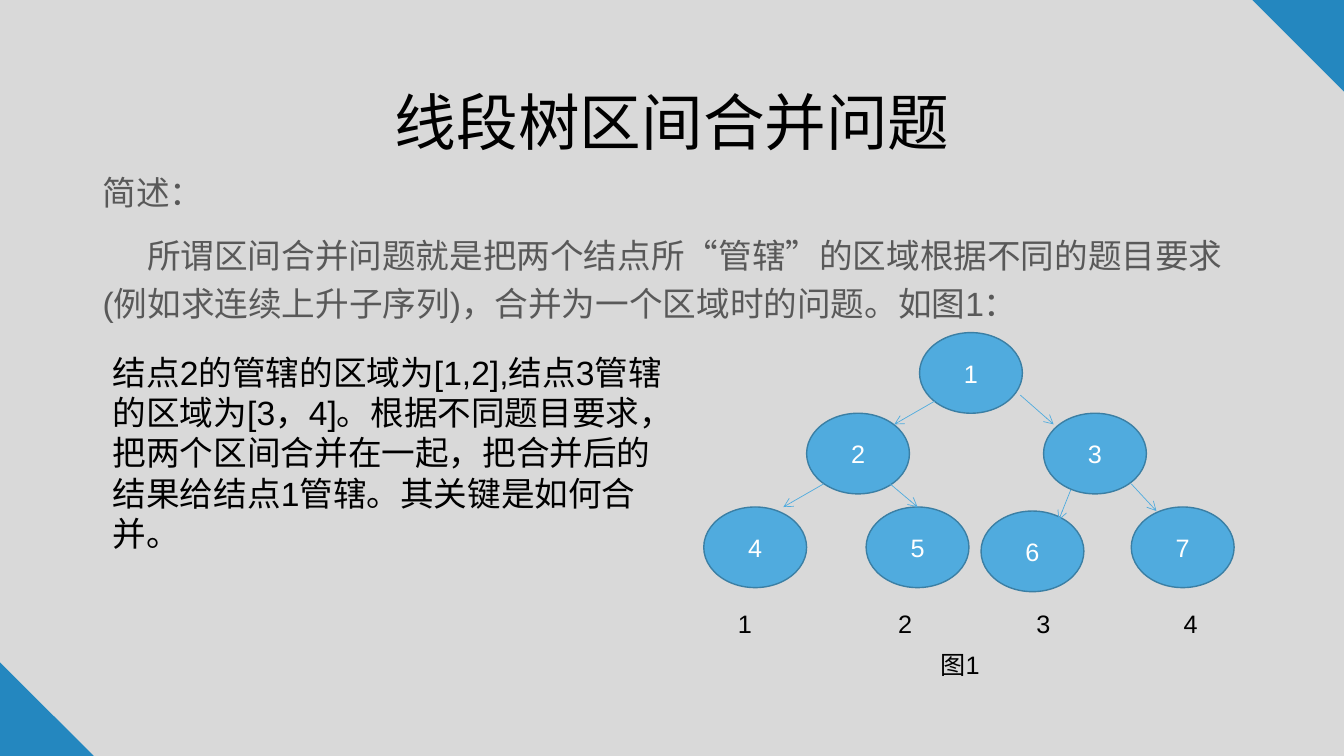
import dataclasses

import pptx
import pptx.dml.color
import pptx.enum.shapes
import pptx.enum.text
import pptx.oxml.ns
import pptx.util
from lxml import etree

Inches = pptx.util.Inches
Pt = pptx.util.Pt
RGB = pptx.dml.color.RGBColor.from_string
qn = pptx.oxml.ns.qn
SHAPES = pptx.enum.shapes.MSO_SHAPE
ALIGN = pptx.enum.text.PP_ALIGN
ANCHOR = pptx.enum.text.MSO_ANCHOR


@dataclasses.dataclass(frozen=True)
class Theme:
    background: str = "D9D9D9"
    corner: str = "2487BF"
    node: str = "50ABDE"
    node_edge: str = "3B7FA4"
    ink: str = "000000"
    muted: str = "595959"
    white: str = "FFFFFF"
    latin: str = "Arial"
    chinese: str = "Noto Sans CJK SC"
    title_size: int = 44
    text_size: int = 24
    label_size: int = 18


theme = Theme()


def write(paragraph, text, *, size, color=theme.ink, font=theme.latin,
          align=ALIGN.LEFT, spacing=1.0, before=0, indent=0):
    paragraph.alignment = align
    paragraph.line_spacing = spacing
    paragraph.space_before = Pt(before)
    if indent:
        paragraph._p.get_or_add_pPr().set("indent", str(Inches(indent)))
    run = paragraph.add_run()
    run.text = text
    run.font.size = Pt(size)
    run.font.color.rgb = RGB(color)
    run.font.name = font
    east_asian = etree.SubElement(run._r.get_or_add_rPr(), qn("a:ea"))
    east_asian.set("typeface", theme.chinese)


def add_filled(kind, left, top, width, height, color):
    shape = slide.shapes.add_shape(
        kind, Inches(left), Inches(top), Inches(width), Inches(height))
    shape.shadow.inherit = False
    shape.fill.solid()
    shape.fill.fore_color.rgb = RGB(color)
    shape.line.fill.background()
    return shape


deck = pptx.Presentation()
deck.slide_width, deck.slide_height = Inches(13.33), Inches(7.5)
slide = deck.slides.add_slide(deck.slide_layouts[5])
slide.background.fill.solid()
slide.background.fill.fore_color.rgb = RGB(theme.background)

# Corner triangles
for left, top, side, rotation in [(12.42, 0, 0.91, 180), (0, 6.57, 0.93, 0)]:
    corner = add_filled(SHAPES.RIGHT_TRIANGLE, left, top, side, side, theme.corner)
    corner.rotation = rotation

# Title
title = slide.shapes.title
title.left, title.top = Inches(0.92), Inches(0.4)
title.width, title.height = Inches(11.5), Inches(1.45)
title.text_frame.auto_size = pptx.enum.text.MSO_AUTO_SIZE.NONE
title.text_frame.vertical_anchor = ANCHOR.MIDDLE
write(title.text_frame.paragraphs[0], "线段树区间合并问题", size=theme.title_size,
      font=theme.chinese, align=ALIGN.CENTER, spacing=1.2)

# Introduction
intro = slide.shapes.add_textbox(
    Inches(0.92), Inches(1.58), Inches(11.5), Inches(5.18)).text_frame
intro.word_wrap = True
intro_format = dict(size=theme.text_size, color=theme.muted, spacing=1.2, before=10)
write(intro.paragraphs[0], "简述：", **intro_format)
write(intro.add_paragraph(),
      "所谓区间合并问题就是把两个结点所“管辖”的区域根据不同的题目要求"
      "(例如求连续上升子序列)，合并为一个区域时的问题。如图1：",
      indent=0.44, **intro_format)

# Tree nodes, numbered level by level
node_places = [(9.12, 3.3), (8, 4.1), (10.35, 4.1),
               (6.98, 5.03), (8.59, 5.03), (9.73, 5.07), (11.22, 5.03)]
for number, (left, top) in enumerate(node_places, start=1):
    node = add_filled(SHAPES.OVAL, left, top, 1.02, 0.8, theme.node)
    node.line.color.rgb = RGB(theme.node_edge)
    node.line.width = Pt(1)
    node.text_frame.vertical_anchor = ANCHOR.MIDDLE
    write(node.text_frame.paragraphs[0], str(number), size=theme.label_size,
          color=theme.white, align=ALIGN.CENTER)

# Arrows from parent to child
branches = [(9.27, 3.98, 8.87, 4.21), (8.17, 4.8, 7.77, 5.03),
            (10.12, 3.92, 10.45, 4.21), (8.65, 4.65, 9.1, 5.03),
            (11.22, 4.8, 11.47, 5.07), (10.62, 4.86, 10.5, 5.16)]
for ends in branches:
    branch = slide.shapes.add_connector(
        pptx.enum.shapes.MSO_CONNECTOR.STRAIGHT, *map(Inches, ends))
    branch.line.color.rgb = RGB(theme.node)
    branch.line.width = Pt(0.5)
    etree.SubElement(branch.line._get_or_add_ln(), qn("a:tailEnd")).set("type", "arrow")
    etree.SubElement(branch._element.spPr, qn("a:effectLst"))

# Leaf values, explanation and figure caption
explanation = ("结点2的管辖的区域为[1,2],结点3管辖的区域为[3，4]。根据不同题目要求，"
               "把两个区间合并在一起，把合并后的结果给结点1管辖。其关键是如何合并。")
notes = [("1", 7.22, 5.99, 0.78, 0.4, theme.label_size),
         ("2", 8.81, 5.99, 0.8, 0.4, theme.label_size),
         ("3", 10.18, 5.99, 0.57, 0.4, theme.label_size),
         ("4", 11.64, 5.99, 0.6, 0.4, theme.label_size),
         (explanation, 1.02, 3.44, 5.65, 2.12, theme.text_size),
         ("图1", 9.23, 6.39, 0.75, 0.4, theme.label_size)]
for text, left, top, width, height, size in notes:
    note = slide.shapes.add_textbox(
        Inches(left), Inches(top), Inches(width), Inches(height)).text_frame
    note.word_wrap = True
    write(note.paragraphs[0], text, size=size)

deck.save("out.pptx")
